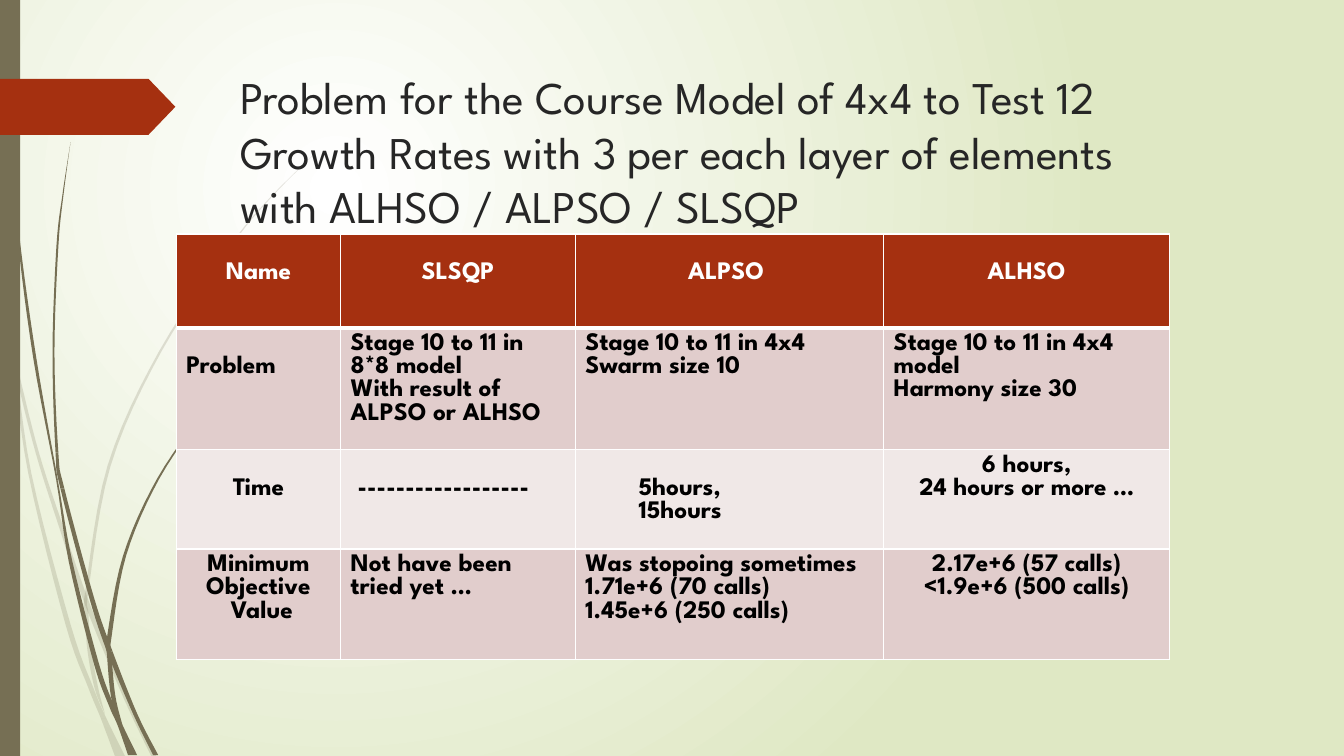
"""Build a slide that compares three optimisers in a table."""
import dataclasses
import typing

import pptx
import pptx.dml.color
import pptx.enum.shapes
import pptx.enum.text
import pptx.oxml
import pptx.oxml.ns
import pptx.util

Pt = pptx.util.Pt
qn = pptx.oxml.ns.qn
Align = pptx.enum.text.PP_ALIGN
Shape = pptx.enum.shapes.MSO_SHAPE
FONT = "League Spartan"
OLIVE, RUST, WHITE, BLACK = "766F54", "A53010", "FFFFFF", "000000"
ROSE, BLUSH = "E1CDCC", "F0E8E7"
LINE = 16.56
STEPS = 6
Knot = tuple[float, float, float]


@dataclasses.dataclass
class Stem:
    """A grass stem: knots of middle x, y and width, joints between parts, opacity."""
    knots: list[Knot]
    joints: list[int]
    alpha: int = 100


@dataclasses.dataclass
class Entry:
    """A table cell: its lines, alignment, lines of drop and indent."""
    lines: list[str]
    mid: bool = False
    drop: int = 0
    indent: float = 0


STEMS = [
    Stem([(0, 203, 0), (1.5, 215, 3), (9, 252, 2.2), (21.3, 338, 2.2), (48.6, 446, 3.6),
          (65.2, 492, 3.6), (74, 513, 4), (85.7, 540, 7.2)], [2, 6], 20),
    Stem([(10, 248, 0), (13.5, 271, 2.2), (26.8, 324, 2.4), (43.2, 375, 3), (62.2, 431, 3.6),
          (90.2, 499, 3.4), (109.8, 540, 3.6)], [4], 20),
    Stem([(224.6, 110, 0), (192.8, 141.7, 0.8), (164.5, 176, 1.2), (114.5, 251, 1.8),
          (78, 332.5, 2.2), (62.3, 420.5, 2.2), (61.9, 438, 2.6), (64, 465, 2.9),
          (69, 492, 2.6), (75, 510, 0)], [5, 6], 20),
    Stem([(2.5, 0, 0.7), (3.2, 34.6, 0.8), (5.4, 79, 0.7), (13, 167.5, 1.4),
          (24.8, 255.6, 2.2), (40.8, 343.4, 1.2), (50.4, 401, 2.6), (68.8, 473.8, 3.6),
          (79.6, 504, 3.6), (86, 518.5, 3.6), (94.7, 539.3, 6.5)], [5, 9]),
    Stem([(50.4, 101.5, 0), (45, 139, 0.8), (41, 176, 1.4), (38.2, 251.3, 1.4),
          (40.7, 323.3, 2), (44.6, 349, 2.8), (65.2, 426, 3.4), (78.5, 465.5, 4),
          (96.6, 510, 3), (111.2, 539.3, 3.6)], [4, 5, 7]),
    Stem([(187.5, 247.7, 0), (166.3, 269, 0.5), (147.2, 292, 1), (113, 342, 1.6),
          (89, 397, 2.2), (78.1, 455, 3.2), (78.1, 468, 3.2), (80.8, 497, 3.2),
          (86, 518, 3)], [5, 6]),
]
COLS = [117.3, 167.7, 220.2, 204.3]
ROWS = [67, 87, 71, 79]
FILLS = [RUST, ROSE, BLUSH, ROSE]
TABLE = [
    [Entry([name], True, 1) for name in ("Name", "SLSQP", "ALPSO ", "ALHSO")],
    [Entry(["Problem"], drop=1),
     Entry(["Stage 10 to 11 in 8*8 model", "With result of ALPSO or ALHSO"]),
     Entry(["Stage 10 to 11 in 4x4 Swarm size 10"]),
     Entry(["Stage 10 to 11 in 4x4 model", "Harmony size 30"])],
    [Entry(["Time"], True, 1),
     Entry(["-" * 18], drop=1, indent=5),
     Entry(["5hours,", "15hours"], drop=1, indent=38),
     Entry(["6 hours,", "24 hours or more …"], True)],
    [Entry(["Minimum", "Objective", " Value"], True),
     Entry(["Not have been tried yet …"]),
     Entry(["Was stopoing sometimes", "1.71e+6 (70 calls)", "1.45e+6 (250 calls)"]),
     Entry(["2.17e+6 (57 calls)", "<1.9e+6 (500 calls)"], True)],
]


def tint(code: str) -> pptx.dml.color.RGBColor:
    """Turn a hex string into a colour."""
    return pptx.dml.color.RGBColor.from_string(code)


def write(frame: typing.Any, lines: list[str], *, size: float = 18, code: str = BLACK,
          bold: bool = False, align: Align = Align.LEFT) -> None:
    """Fill a text frame with one paragraph a line."""
    for i, line in enumerate(lines):
        para = frame.add_paragraph() if i else frame.paragraphs[0]
        para.alignment = align
        run = para.add_run()
        run.text = line
        font = run.font
        font.name, font.size, font.bold = FONT, Pt(size), bold
        font.color.rgb = tint(code)


def paint(shape: typing.Any, code: str, alpha: int = 100) -> None:
    """Give a shape a flat fill with no line or shadow."""
    shape.shadow.inherit = False
    shape.line.fill.background()
    shape.fill.solid()
    shape.fill.fore_color.rgb = tint(code)
    if alpha < 100:
        node = shape.element.spPr.find(qn("a:solidFill"))[0]
        node.append(node.makeelement(qn("a:alpha"), {"val": str(alpha * 1000)}))


def smooth(knots: list[Knot]) -> list[Knot]:
    """Run a Catmull-Rom curve through the knots."""
    ends = [knots[0], *knots, knots[-1]]
    curve = []
    for a, b, c, d in zip(ends, ends[1:], ends[2:], ends[3:]):
        for i in range(STEPS):
            t = i / STEPS
            curve.append(tuple(
                q + t / 2 * (r - p + t * (2 * p - 5 * q + 4 * r - s
                                          + t * (3 * q - p - 3 * r + s)))
                for p, q, r, s in zip(a, b, c, d)))
    return [*curve, knots[-1]]


def grow(slide: typing.Any, stem: Stem) -> None:
    """Draw each part of a stem as a closed outline."""
    curve = smooth(stem.knots)
    cuts = [0, *(joint * STEPS for joint in stem.joints), len(curve) - 1]
    for start, end in zip(cuts, cuts[1:]):
        part = curve[start:end + 1]
        edge = [(Pt(x - w / 2), Pt(y)) for x, y, w in part]
        edge += [(Pt(x + w / 2), Pt(y)) for x, y, w in reversed(part)]
        form = slide.shapes.build_freeform(*edge[0])
        form.add_line_segments(edge[1:])
        paint(form.convert_to_shape(), OLIVE, stem.alpha)


def block(slide: typing.Any, kind: Shape, box: tuple, code: str) -> typing.Any:
    """Draw a flat preset shape."""
    shape = slide.shapes.add_shape(kind, *map(Pt, box))
    paint(shape, code)
    return shape


def shade(slide: typing.Any) -> None:
    """Set the radial background."""
    fill = slide.background.fill
    fill.gradient()
    for stop, code, place in zip(fill.gradient_stops, (WHITE, "DFE8C4"), (0, 1)):
        stop.color.rgb, stop.position = tint(code), place
    grad = slide.element.find(".//" + qn("a:gradFill"))
    ray = pptx.oxml.parse_xml(
        f'<a:path {pptx.oxml.ns.nsdecls("a")} path="circle">'
        '<a:fillToRect l="50000" t="50000" r="100000" b="100000"/></a:path>')
    grad.replace(grad.find(qn("a:lin")), ray)


def rule(cell: typing.Any, side: str, width: float) -> None:
    """Add a white border to one side of a cell."""
    cell._tc.get_or_add_tcPr().append(pptx.oxml.parse_xml(
        f'<a:ln{side} {pptx.oxml.ns.nsdecls("a")} w="{Pt(width)}"><a:solidFill>'
        f'<a:srgbClr val="{WHITE}"/></a:solidFill></a:ln{side}>'))


def grid(slide: typing.Any) -> None:
    """Draw the table of results."""
    table = slide.shapes.add_table(len(ROWS), len(COLS), Pt(126), Pt(167.2),
                                   Pt(sum(COLS)), Pt(sum(ROWS))).table
    for col, width in zip(table.columns, COLS):
        col.width = Pt(width)
    for r, entries in enumerate(TABLE):
        table.rows[r].height = Pt(ROWS[r])
        for c, entry in enumerate(entries):
            cell = table.cell(r, c)
            for side in "LRTB":
                thick = (r, side) in ((0, "B"), (1, "T"))
                rule(cell, side, 3 if thick else 1)
            cell.fill.solid()
            cell.fill.fore_color.rgb = tint(FILLS[r])
            cell.margin_top = Pt(3.6 + entry.drop * LINE)
            cell.margin_left = Pt(7.2 + entry.indent)
            write(cell.text_frame, entry.lines, bold=True, code=BLACK if r else WHITE,
                  align=Align.CENTER if entry.mid else Align.LEFT)


def main() -> None:
    """Build and save the deck."""
    deck = pptx.Presentation()
    deck.slide_width, deck.slide_height = Pt(960), Pt(540)
    slide = deck.slides.add_slide(deck.slide_layouts[5])
    shade(slide)
    for stem in STEMS:
        grow(slide, stem)
    block(slide, Shape.RECTANGLE, (0, 0, 14.4, 540), OLIVE)
    block(slide, Shape.PENTAGON, (0, 56.3, 125.3, 40), RUST).adjustments[0] = 0.48
    grid(slide)
    title = slide.shapes.title
    title.left, title.top, title.width, title.height = map(Pt, (164.3, 46, 702, 136))
    frame = title.text_frame
    frame.word_wrap = True
    frame.vertical_anchor = pptx.enum.text.MSO_ANCHOR.TOP
    write(frame, ["Problem for the Course Model of 4x4 to Test 12 Growth Rates with 3 per "
                  "each layer of elements with ALHSO / ALPSO / SLSQP"],
          size=32.4, code="262626")
    deck.save("out.pptx")


main()
